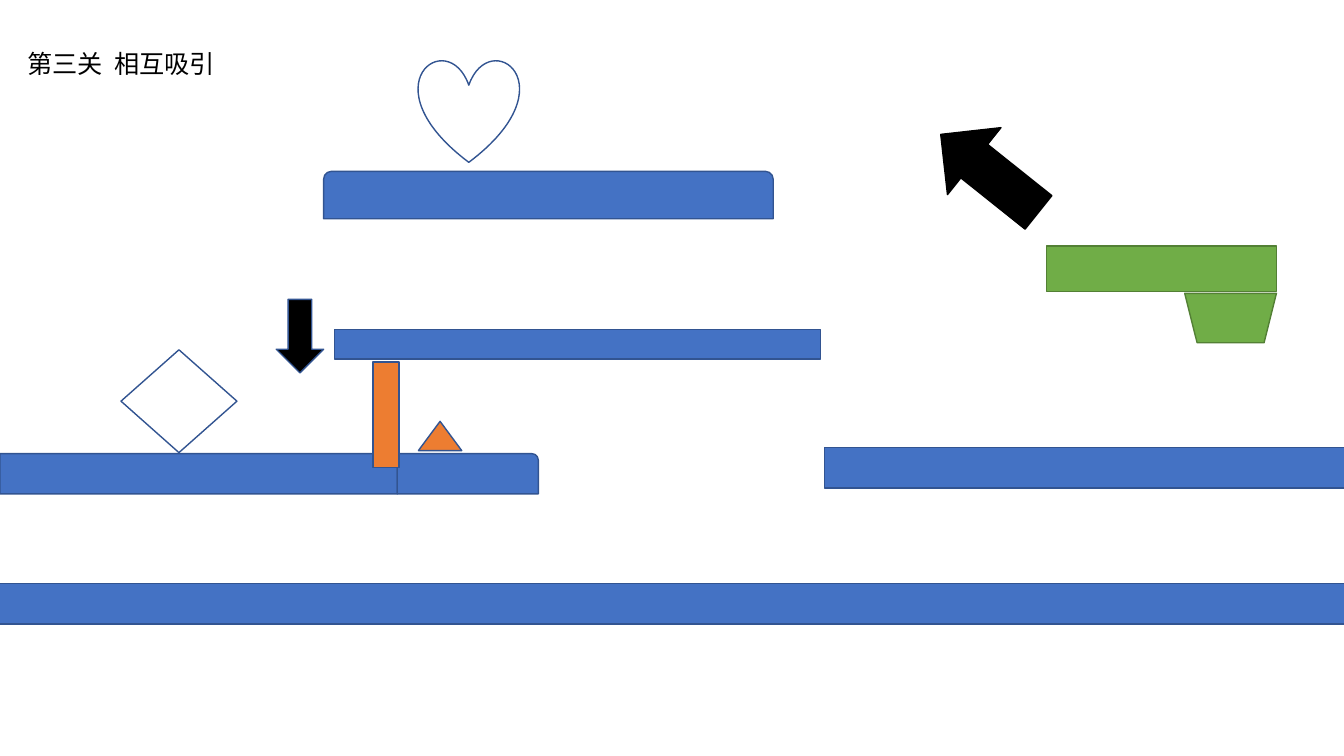
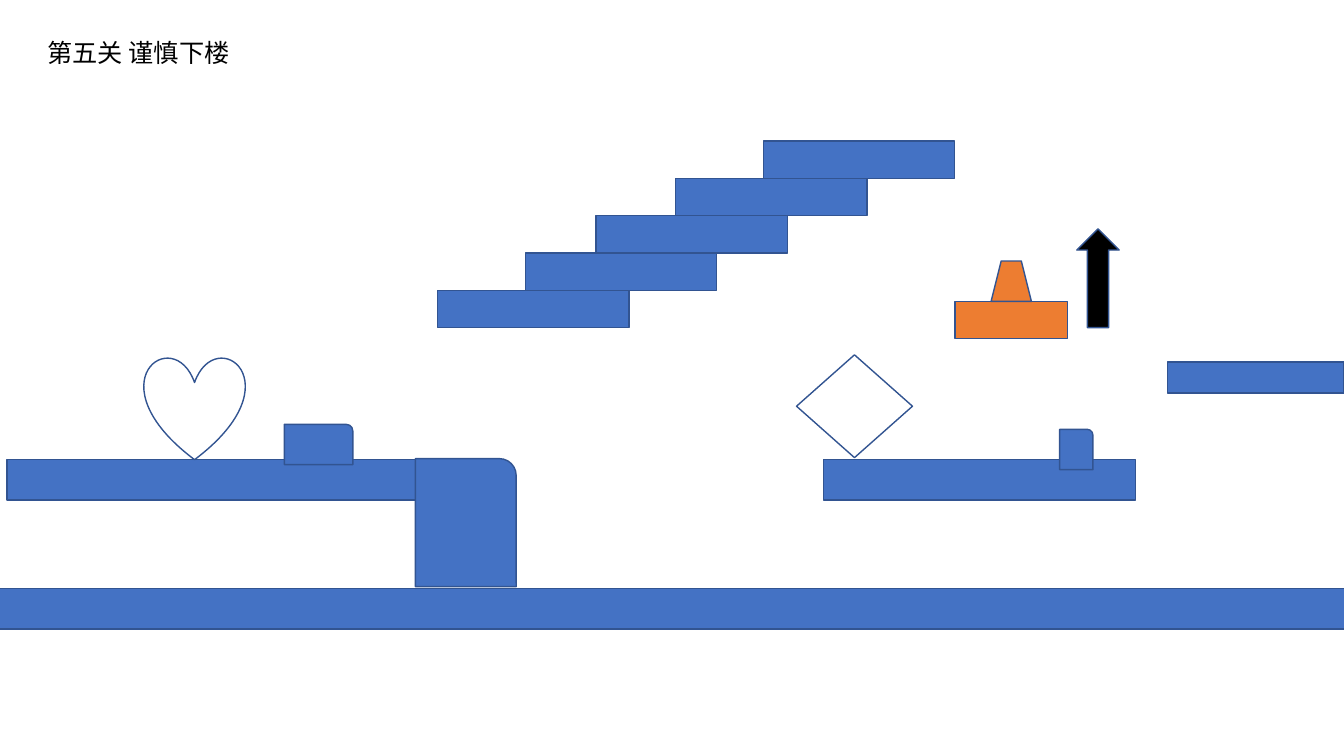
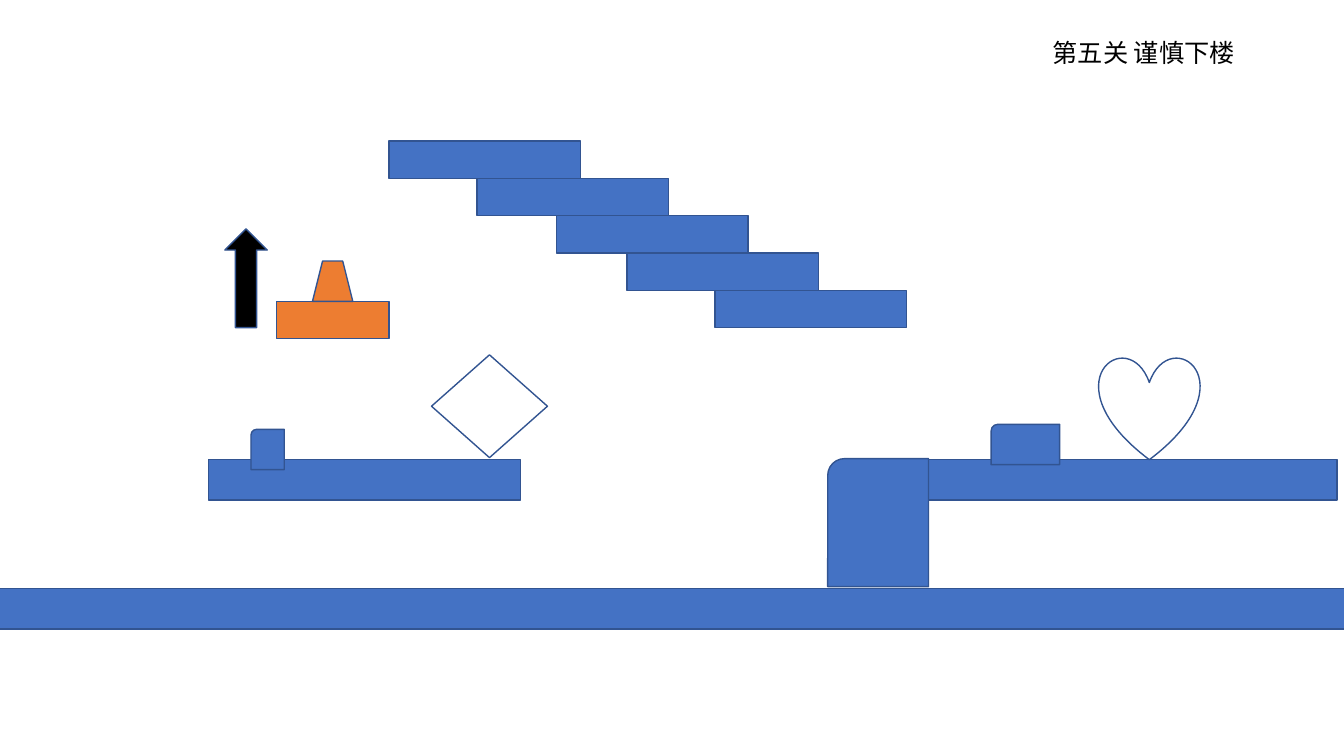
from pptx import Presentation
from pptx.dml.color import RGBColor
from pptx.enum.shapes import MSO_SHAPE as Kind
from pptx.enum.text import MSO_ANCHOR as Anchor, MSO_AUTO_SIZE as Fit, PP_ALIGN as Align
from pptx.util import Inches, Pt
from lxml.etree import SubElement
from pptx.oxml.ns import qn

WIDE, HIGH = 13.33, 7.5
FONT = "Noto Sans CJK SC"
WHITE = RGBColor(0xFF, 0xFF, 0xFF)
BLACK = RGBColor(0x00, 0x00, 0x00)
BLUE = RGBColor(0x44, 0x72, 0xC4)
NAVY = RGBColor(0x32, 0x54, 0x91)
ORANGE = RGBColor(0xED, 0x7D, 0x31)
GREEN = RGBColor(0x70, 0xAD, 0x47)
MOSS = RGBColor(0x53, 0x80, 0x35)

deck = Presentation()
deck.slide_width, deck.slide_height = Inches(WIDE), Inches(HIGH)
layout = deck.slide_layouts.get_by_name("Title Only")


def write(slide, text, left, top, width, height=0.4, size=18, color=BLACK):
    """Place and format the slide's title."""
    title = slide.shapes.title
    title.left, title.top = Inches(left), Inches(top)
    title.width, title.height = Inches(width), Inches(height)
    frame = title.text_frame
    frame.text = text
    frame.word_wrap = True
    frame.auto_size = Fit.NONE
    frame.vertical_anchor = Anchor.TOP
    line = frame.paragraphs[0]
    line.alignment = Align.LEFT
    font = line.runs[0].font
    font.name, font.size, font.color.rgb = FONT, Pt(size), color
    SubElement(line.runs[0].font._element, qn("a:ea"), typeface=FONT)


def draw(slide, kind, left, top, width, height, fill=BLUE, edge=NAVY, turn=0, flip=False):
    """Add a shape; flip mirrors it across the middle of the slide."""
    if flip:
        left = WIDE - left - width
    shape = slide.shapes.add_shape(kind, Inches(left), Inches(top), Inches(width), Inches(height))
    shape.shadow.inherit = False
    shape.fill.solid()
    shape.fill.fore_color.rgb = fill
    shape.line.color.rgb = edge
    shape.line.width = Pt(1)
    shape.rotation = turn
    if flip:
        shape.element.spPr.find(qn("a:xfrm")).set("flipH", "1")


# Level 3
slide = deck.slides.add_slide(layout)
write(slide, "第三关  相互吸引", 0.17, 0.43, 3.78)
draw(slide, Kind.DIAMOND, 1.2, 3.47, 1.15, 1.02, WHITE)
draw(slide, Kind.HEART, 4.15, 0.59, 1, 1.02, WHITE)
draw(slide, Kind.RECTANGLE, -0.09, 5.79, 13.43, 0.4)
draw(slide, Kind.ROUND_2_SAME_RECTANGLE, 3.21, 1.7, 4.46, 0.47)
draw(slide, Kind.DOWN_ARROW, 9.39, 1.1, 0.85, 1.24, BLACK, BLACK, turn=128.6)
draw(slide, Kind.ROUND_1_RECTANGLE, 0, 4.5, 3.94, 0.4)
draw(slide, Kind.RECTANGLE, 3.32, 3.27, 4.82, 0.29)
draw(slide, Kind.ROUND_1_RECTANGLE, 3.94, 4.5, 1.4, 0.4)
draw(slide, Kind.ISOSCELES_TRIANGLE, 4.15, 4.18, 0.43, 0.29, ORANGE)
draw(slide, Kind.DOWN_ARROW, 2.74, 2.97, 0.47, 0.73, BLACK)
draw(slide, Kind.RECTANGLE, 10.38, 2.44, 2.28, 0.45, GREEN, MOSS)
draw(slide, Kind.TRAPEZOID, 11.75, 2.91, 0.91, 0.49, GREEN, MOSS, turn=180)
draw(slide, Kind.RECTANGLE, 3.7, 3.59, 0.26, 1.05, ORANGE)
draw(slide, Kind.RECTANGLE, 8.18, 4.44, 5.16, 0.4)

# Level 5, then the same level mirrored
STAIRS = [7.57, 6.7, 5.91, 5.21, 4.34]
STEP = 0.37
PARTS = [
    (Kind.RECTANGLE, 0.07, 4.56, 4.05, 0.4),
    (Kind.DIAMOND, 7.9, 3.52, 1.15, 1.02, WHITE),
    (Kind.HEART, 1.43, 3.54, 1, 1.02, WHITE),
    (Kind.RECTANGLE, 8.17, 4.56, 3.09, 0.4),
    *[(Kind.RECTANGLE, left, 1.4 + i * STEP, 1.9, STEP) for i, left in enumerate(STAIRS)],
    (Kind.ROUND_1_RECTANGLE, 2.82, 4.21, 0.68, 0.4),
    (Kind.RECTANGLE, -0.05, 5.84, 13.43, 0.4),
    (Kind.ROUND_1_RECTANGLE, 4.12, 4.55, 1, 1.27),
    (Kind.ROUND_1_RECTANGLE, 10.51, 4.26, 0.33, 0.4),
    (Kind.RECTANGLE, 9.47, 2.99, 1.12, 0.37, ORANGE),
    (Kind.TRAPEZOID, 9.83, 2.59, 0.4, 0.4, ORANGE),
    (Kind.DOWN_ARROW, 10.68, 2.27, 0.42, 0.98, BLACK, NAVY, 180),
]
for flip in (False, True):
    slide = deck.slides.add_slide(layout)
    write(slide, "第五关 谨慎下楼", 10.34 if flip else 0.37, 0.32, 2.62)
    for part in PARTS:
        draw(slide, *part, flip=flip)
    if not flip:
        draw(slide, Kind.RECTANGLE, 11.58, 3.59, 1.75, 0.31)

deck.save("out.pptx")
